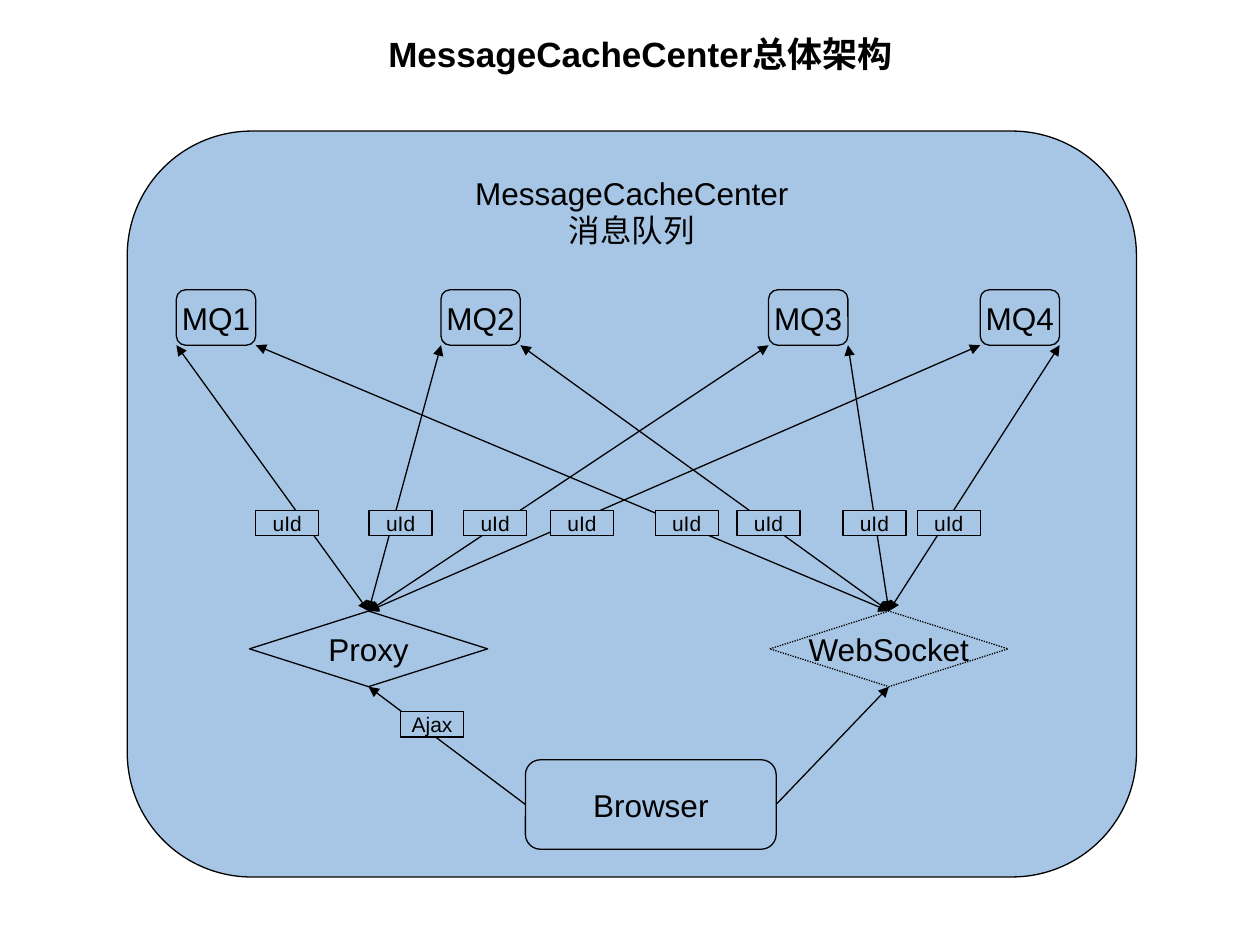
from lxml.etree import SubElement
from pptx import Presentation
from pptx.dml.color import RGBColor
from pptx.enum.dml import MSO_LINE as Dash
from pptx.enum.shapes import MSO_CONNECTOR as Link, MSO_SHAPE as Kind
from pptx.enum.text import MSO_ANCHOR as Anchor, MSO_AUTO_SIZE as Fit, PP_ALIGN as Align
from pptx.oxml.ns import qn
from pptx.util import Inches, Pt

BLUE, BLACK = "A7C6E5", "000000"
FRAME = {"word_wrap": False, "auto_size": Fit.NONE, "margin_left": Inches(0.1),
         "margin_right": Inches(0.1), "margin_top": Inches(0.05), "margin_bottom": Inches(0.05)}
TOP, LEFT, BOTTOM, RIGHT = range(4)


def color(code):
    """Turn a hex string into a colour."""
    return RGBColor.from_string(code)


def apply(target, values):
    """Set each named format value on the target."""
    for name, value in values.items():
        setattr(target, name, value)


def write(shape, lines, size, anchor=Anchor.MIDDLE, bold=False):
    """Fill a shape with centred lines of text."""
    frame = shape.text_frame
    apply(frame, {**FRAME, "vertical_anchor": anchor})
    frame.text = "\n".join(lines)
    for para in frame.paragraphs:
        para.alignment = Align.CENTER
        for span in para.runs:
            apply(span.font, {"size": Pt(size), "name": "Arial", "bold": bold})
            span.font.color.rgb = color(BLACK)


def add_node(page, kind, box, lines, size=18, anchor=Anchor.MIDDLE):
    """Add an outlined blue shape with its text."""
    node = page.shapes.add_shape(kind, *map(Inches, box))
    node.shadow.inherit = False
    node.fill.solid()
    node.fill.fore_color.rgb = color(BLUE)
    node.line.color.rgb = color(BLACK)
    node.line.width = Pt(0.75)
    write(node, lines, size, anchor)
    return node


def add_arrow(page, start, end, ends):
    """Add a straight black line with triangles at the given ends."""
    arrow = page.shapes.add_connector(Link.STRAIGHT, *start, *end)
    arrow.line.color.rgb = color(BLACK)
    arrow.line.width = Pt(0.75)
    outline = arrow.line._get_or_add_ln()
    for end_name in ends:
        SubElement(outline, qn(f"a:{end_name}"), type="triangle")
    SubElement(arrow._element.spPr, qn("a:effectLst"))
    return arrow


def add_title(page, box):
    """Place the slide title."""
    title = page.shapes.title
    apply(title, dict(zip(("left", "top", "width", "height"), map(Inches, box))))
    write(title, ["MessageCacheCenter总体架构"], 20, Anchor.TOP, True)


def add_queues(page, box, lefts):
    """Place the row of message queues at the given left edges."""
    x, y, width, height = box
    return [add_node(page, Kind.FLOWCHART_ALTERNATE_PROCESS, (x + left, y, width, height),
                     [f"MQ{number}"]) for number, left in enumerate(lefts, 1)]


def add_gateway(page, box, name, queues, side):
    """Place a gateway and link it to one lower corner of every queue."""
    gateway = add_node(page, Kind.FLOWCHART_DECISION, box, [name])
    top = gateway.left + gateway.width // 2, gateway.top
    for queue in queues:
        corner = queue.left + (queue.width if side == RIGHT else 0), queue.top + queue.height
        arrow = add_arrow(page, top, corner, ("headEnd", "tailEnd"))
        arrow.begin_connect(gateway, TOP)
    return gateway


def add_browser(page, box, gateways):
    """Place the browser and point it at both gateways."""
    browser = add_node(page, Kind.FLOWCHART_ALTERNATE_PROCESS, box, ["Browser"])
    for gateway, side in zip(gateways, (LEFT, RIGHT)):
        arrow = add_arrow(page, (0, 0), (0, 0), ("tailEnd",))
        arrow.begin_connect(browser, side)
        arrow.end_connect(gateway, BOTTOM)


def add_labels(page, text, lefts, y):
    """Place a row of small link labels."""
    for x in lefts:
        add_node(page, Kind.FLOWCHART_PROCESS, (x, y, 0.5, 0.2), [text], 12)


def add_architecture(page, box):
    """Place the panel and the architecture diagram inside it."""
    x, y, width, height = box
    add_node(page, Kind.FLOWCHART_ALTERNATE_PROCESS, box,
             ["MessageCacheCenter", "消息队列"], anchor=Anchor.TOP)
    queues = add_queues(page, (x + 0.39, y + 1.26, 0.63, 0.44), (0, 2.1, 4.7, 6.38))
    proxy = add_gateway(page, (x + 0.97, y + 3.81, 1.89, 0.6), "Proxy", queues, LEFT)
    socket = add_gateway(page, (x + 5.1, y + 3.81, 1.89, 0.6), "WebSocket", queues, RIGHT)
    socket.line.dash_style = Dash.ROUND_DOT
    add_browser(page, (x + 3.16, y + 4.99, 1.99, 0.71), (proxy, socket))
    offsets = (1.02, 1.92, 2.67, 3.36, 4.19, 4.84, 5.68, 6.27)
    add_labels(page, "uId", [x + offset for offset in offsets], y + 3.01)
    add_labels(page, "Ajax", [x + 2.17], y + 4.61)


def main():
    """Build and save the deck."""
    deck = Presentation()
    deck.slide_width, deck.slide_height = Inches(10), Inches(7.5)
    page = deck.slides.add_slide(deck.slide_layouts[5])
    add_title(page, (2.95, 0.21, 4.27, 0.44))
    add_architecture(page, (1.01, 1.04, 8.01, 5.92))
    deck.save("out.pptx")


if __name__ == "__main__":
    main()
